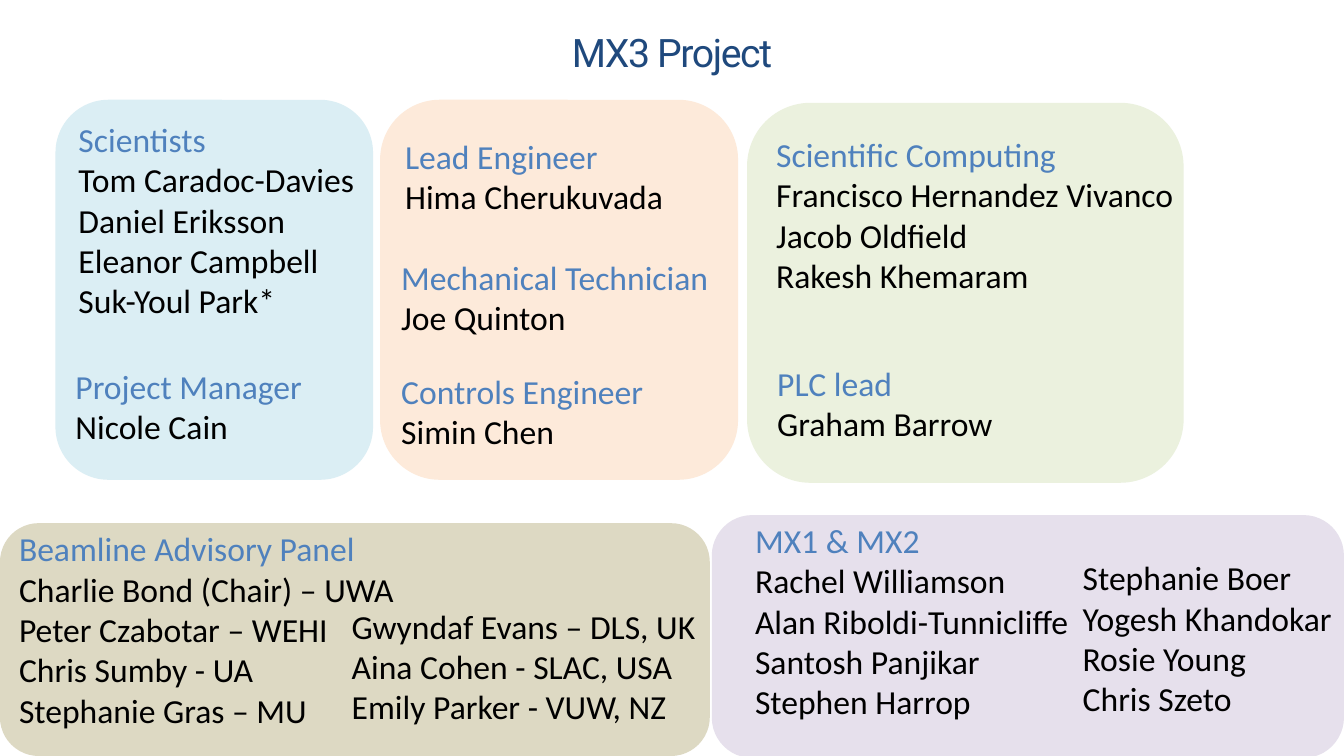
from pptx import Presentation
from pptx.dml.color import RGBColor
from pptx.enum import shapes, text
from pptx.util import Inches, Pt

COLORS = {
    "navy": "1F497D", "heading": "4F81BD", "black": "000000",
    "lilac": "E6E0EC", "tan": "DDD9C3", "green": "EBF1DE",
    "peach": "FDEADA", "aqua": "DBEEF4",
}


def add_text(p, content, size=24, font="Calibri", color="black"):
    r = p.add_run()
    r.text = content
    r.font.size = Pt(size)
    r.font.name = font
    r.font.color.rgb = RGBColor.from_string(COLORS[color])
    return r


prs = Presentation()
prs.slide_width, prs.slide_height = Inches(13.33), Inches(7.5)
s = prs.slides.add_slide(prs.slide_layouts[5])

panels = [
    ("lilac", 7.06, 5.11, 6.27, 2.41),
    ("tan", 0, 5.19, 7.04, 2.31),
    ("green", 7.41, 1.02, 4.33, 3.77),
    ("peach", 3.77, 0.99, 3.55, 3.77),
    ("aqua", 0.55, 0.99, 3.15, 3.77),
]
for color, *box in panels:
    sp = s.shapes.add_shape(shapes.MSO_SHAPE.ROUNDED_RECTANGLE, *map(Inches, box))
    sp.shadow.inherit = False
    sp.fill.solid()
    sp.fill.fore_color.rgb = RGBColor.from_string(COLORS[color])
    sp.line.fill.background()

title = s.shapes.title
title.left, title.top = Inches(0), Inches(0.2)
title.width, title.height = Inches(13.33), Inches(0.6)
tf = title.text_frame
tf.vertical_anchor = text.MSO_ANCHOR.BOTTOM
p = tf.paragraphs[0]
p.alignment = text.PP_ALIGN.CENTER
r = add_text(p, "MX3 Project", size=28, font="Roboto", color="navy")
r.font._element.set("spc", "-100")

teams = [
    (0.68, 1.13, 3.68, 2.12, "Scientists",
     ["Tom Caradoc-Davies", "Daniel Eriksson", "Eleanor Campbell", "Suk-Youl Park*"]),
    (0.65, 3.58, 3.8, 0.91, "Project Manager", ["Nicole Cain"]),
    (3.92, 1.3, 3.8, 0.91, "Lead Engineer", ["Hima Cherukuvada"]),
    (3.88, 3.63, 3.55, 0.91, "Controls Engineer", ["Simin Chen"]),
    (7.6, 1.28, 4.2, 1.72, "Scientific Computing",
     ["Francisco Hernandez Vivanco", "Jacob Oldfield", "Rakesh Khemaram"]),
    (3.88, 2.5, 3.42, 0.91, "Mechanical Technician", ["Joe Quinton"]),
    (7.61, 3.55, 3.22, 0.91, "PLC lead", ["Graham Barrow"]),
    (0.09, 5.19, 6.95, 2.39, "Beamline Advisory Panel",
     ["Charlie Bond (Chair) – UWA", "Peter Czabotar – WEHI",
      "Chris Sumby - UA", "Stephanie Gras – MU"]),
    (7.39, 5.11, 5.95, 2.39, "MX1 & MX2",
     ["Rachel Williamson", "Alan Riboldi-Tunnicliffe", "Santosh Panjikar", "Stephen Harrop"]),
    (3.39, 5.96, 3.64, 1.62, None,
     ["Gwyndaf Evans – DLS, UK", "Aina Cohen - SLAC, USA", "Emily Parker - VUW, NZ"]),
    (10.64, 5.48, 2.7, 2.02, None,
     ["Stephanie Boer", "Yogesh Khandokar", "Rosie Young", "Chris Szeto"]),
]
for *box, heading, members in teams:
    tf = s.shapes.add_textbox(*map(Inches, box)).text_frame
    tf.word_wrap = heading is not None
    tf.auto_size = text.MSO_AUTO_SIZE.SHAPE_TO_FIT_TEXT
    lines = [(heading, "heading")] if heading else []
    lines += [(member, "black") for member in members]
    for i, (line, color) in enumerate(lines):
        p = tf.add_paragraph() if i else tf.paragraphs[0]
        add_text(p, line, color=color)

prs.save("out.pptx")
